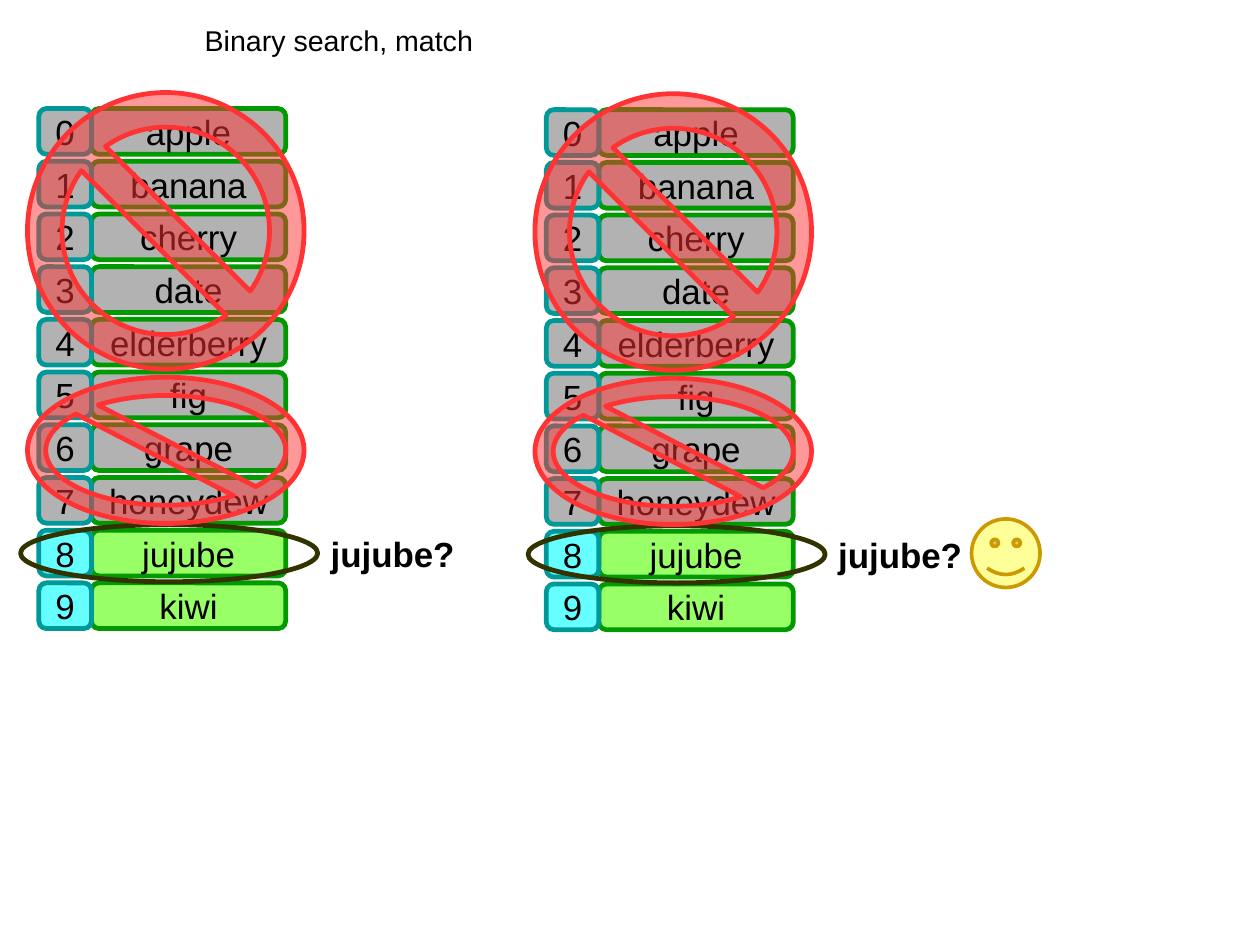
"""Build the slide that shows a binary search ending in a match."""
from lxml import etree
from pptx import Presentation
from pptx.dml.color import RGBColor
from pptx.enum.shapes import MSO_SHAPE as Preset
from pptx.enum.text import MSO_ANCHOR as Anchor, MSO_AUTO_SIZE as AutoSize, PP_ALIGN as Align
from pptx.oxml.ns import qn
from pptx.util import Inches, Pt

COLORS = {
    "text": "000000",
    "discarded": "B2B2B2",
    "fruit": "99FF66",
    "fruit_edge": "009900",
    "index": "66FFFF",
    "index_edge": "009999",
    "probe": "333300",
    "ban": "FF3333",
    "smile": "FFFF99",
    "smile_edge": "CC9900",
}
FRUITS = ["apple", "banana", "cherry", "date", "elderberry",
          "fig", "grape", "honeydew", "jujube", "kiwi"]
MATCH = FRUITS.index("jujube")
ROW_STEP = 4.15 / 9
CM_PER_INCH = 2.54

prs = Presentation()
prs.slide_width = Inches(28 / CM_PER_INCH)
prs.slide_height = Inches(21 / CM_PER_INCH)
slide = prs.slides.add_slide(prs.slide_layouts[5])


def write(shape, text, size, bold=False, margin=0, anchor=Anchor.TOP):
    frame = shape.text_frame
    frame.text = text
    edge = Inches(margin)
    frame_format = {"margin_left": edge, "margin_top": edge, "margin_right": edge,
                    "margin_bottom": edge, "vertical_anchor": anchor,
                    "word_wrap": False, "auto_size": AutoSize.NONE}
    for name, value in frame_format.items():
        setattr(frame, name, value)
    paragraph = frame.paragraphs[0]
    paragraph.alignment = Align.CENTER
    font = paragraph.runs[0].font
    for name, value in {"name": "Arial", "size": Pt(size), "bold": bold}.items():
        setattr(font, name, value)
    font.color.rgb = RGBColor.from_string(COLORS["text"])


def draw(preset, box, fill, edge, width=3, adjustment=None):
    shape = slide.shapes.add_shape(preset, *map(Inches, box))
    shape.shadow.inherit = False
    if fill:
        shape.fill.solid()
        shape.fill.fore_color.rgb = RGBColor.from_string(COLORS[fill])
    else:
        shape.fill.background()
    shape.line.color.rgb = RGBColor.from_string(COLORS[edge])
    shape.line.width = Pt(width)
    if adjustment is not None:
        shape.adjustments[0] = adjustment
    return shape


title = slide.shapes.title
title_box = {"left": 0.13, "top": 0.2, "width": 5.67, "height": 0.28}
for side, length in title_box.items():
    setattr(title, side, Inches(length))
write(title, "Binary search, match", 18)

for left, top in [(0.34, 0.95), (4.78, 0.96)]:
    columns = [(left + 0.46, 1.7, FRUITS, "fruit"),
               (left, 0.46, range(len(FRUITS)), "index")]
    for column_left, width, entries, color in columns:
        for row, entry in enumerate(entries):
            box = (column_left, top + row * ROW_STEP, width, 0.4)
            fill = color if row >= MATCH else "discarded"
            cell = draw(Preset.ROUNDED_RECTANGLE, box, fill, f"{color}_edge", adjustment=0.167)
            write(cell, str(entry), 22, margin=0.02, anchor=Anchor.MIDDLE)

    draw(Preset.OVAL, (left - 0.16, top + 3.64, 2.6, 0.5), None, "probe")
    question_box = (left + 2.55, top + 3.71, 1.09, 0.34)
    question = slide.shapes.add_textbox(*map(Inches, question_box))
    write(question, "jujube?", 22, bold=True)

    for offset, height in [(-0.14, 2.42), (2.35, 1.28)]:
        ban_box = (left - 0.1, top + offset, 2.42, height)
        ban = draw(Preset.NO_SYMBOL, ban_box, "ban", "ban", adjustment=0.125)
        fill_color = ban.fill._xPr.find(qn("a:solidFill"))[0]
        etree.SubElement(fill_color, qn("a:alpha"), val="50000")

draw(Preset.SMILEY_FACE, (8.5, 4.54, 0.6, 0.6), "smile", "smile_edge", width=2.3)

prs.save("out.pptx")
